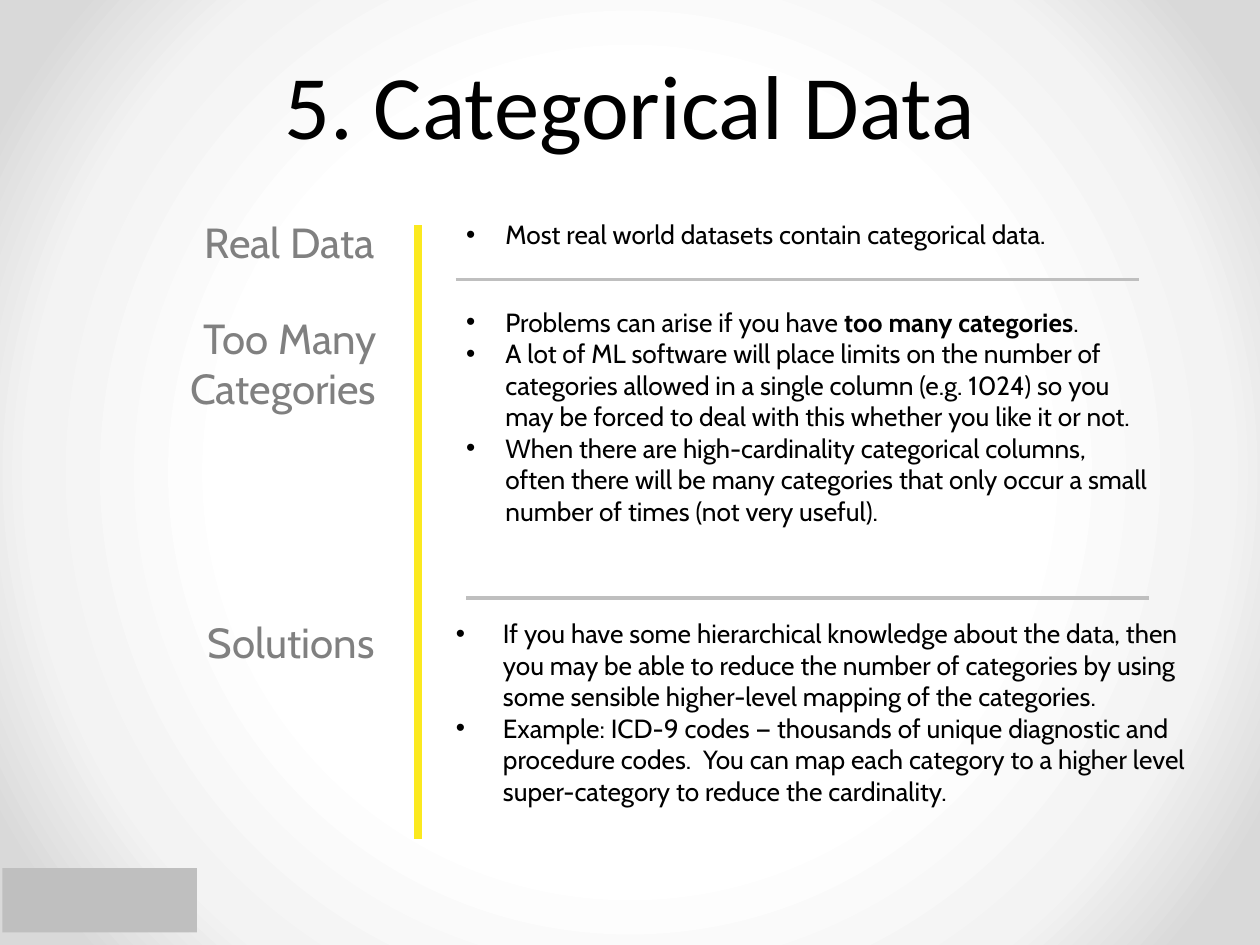
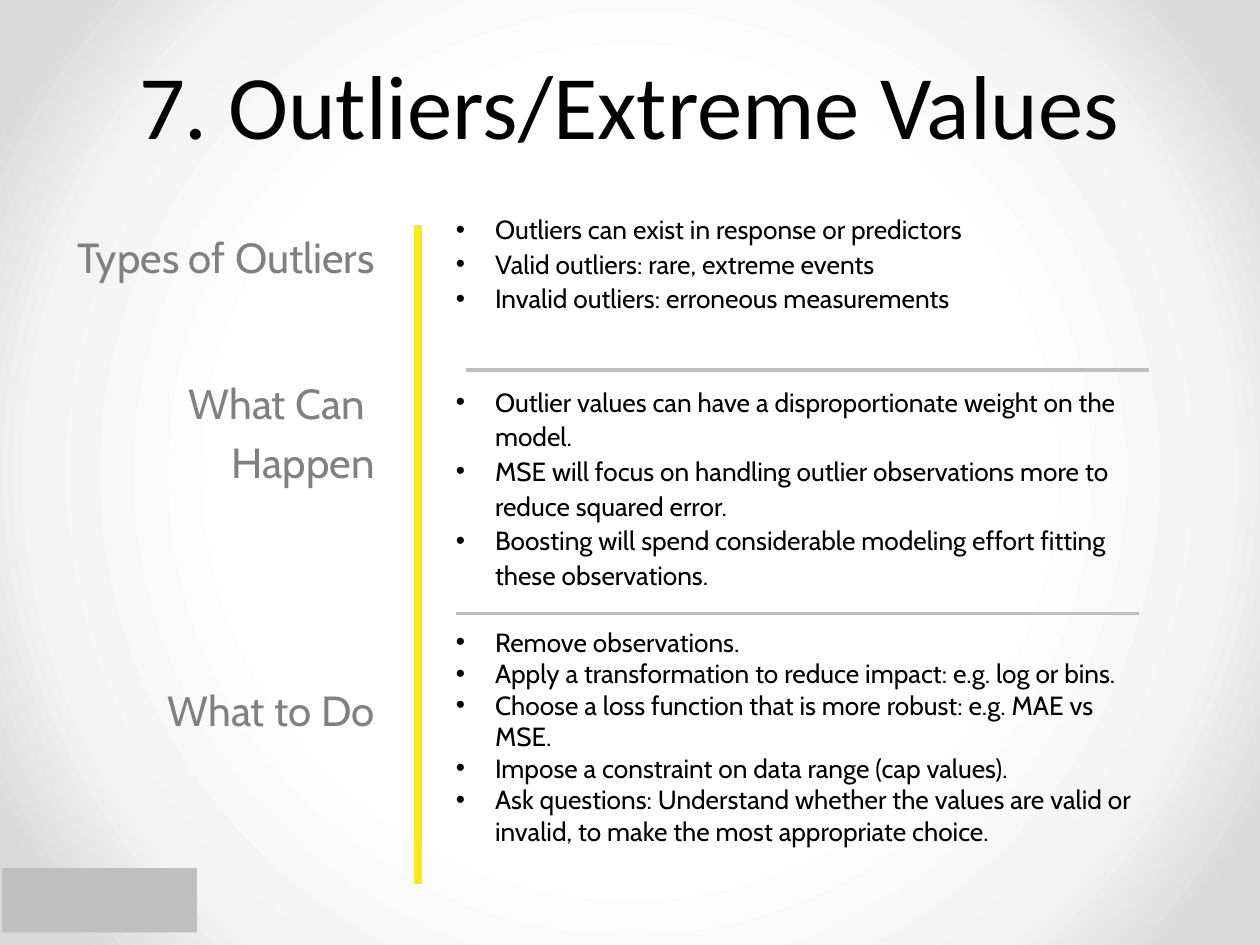
from dataclasses import dataclass

from pptx import Presentation
from pptx import util as u
from pptx.dml.color import RGBColor
from pptx.enum import shapes, text
from pptx.oxml import parse_xml
from pptx.oxml.ns import nsdecls, qn

BLACK = RGBColor(0x00, 0x00, 0x00)
GREY = RGBColor(0x80, 0x80, 0x80)
RULE_GREY = RGBColor(0xBF, 0xBF, 0xBF)
BAR_YELLOW = RGBColor(0xFB, 0xE9, 0x1F)
GLOW = [(50, RGBColor(0xFF, 0xFF, 0xFF)), (76, RGBColor(0xF3, 0xF3, 0xF3)),
        (92, RGBColor(0xD9, 0xD9, 0xD9))]

TITLE_FONT = dict(name="Calibri", size=u.Pt(51.8), color=BLACK)
HEADING_FONT = dict(name="Cabin", size=u.Pt(24), color=GREY)
BODY_FONT = dict(name="Cabin", size=u.Pt(15), color=BLACK)

TITLE_BOX = (1.27, 0.93, 22.86, 2.24)
FOOTER_BOX = (0.05, 17.5, 3.92, 1.3)
HEADING_SIZE = (7.44, 2.79)
HEADING_LEFT = 0.24
BODY_WIDTH = 13.77
BODY_LEFT, BODY_LEFT_INSET = 9.19, 9.4
BAR_X, BAR_TOP = 8.43, 4.54


@dataclass
class Section:
    heading: list
    heading_top: float
    body_box: tuple
    bullets: list
    heading_left: float = HEADING_LEFT
    line_spacing: float = 1.0
    indent: float = 0.79
    level: int = 0


def set_all(target, values):
    for name, value in values.items():
        setattr(target, name, value)


def add_run(paragraph, wording, font, **extra):
    run = paragraph.add_run()
    run.text = wording
    values = {**font, **extra}
    run.font.color.rgb = values.pop("color")
    set_all(run.font, values)


def add_frame(slide, box, inset=0.0, **values):
    frame = slide.shapes.add_textbox(*map(u.Cm, box)).text_frame
    margins = {f"margin_{side}": u.Cm(inset)
               for side in ("left", "top", "right", "bottom")}
    set_all(frame, {"word_wrap": True, **margins, **values})
    return frame


def paragraphs(frame, items):
    """Yield a paragraph of the frame with each item."""
    for index, item in enumerate(items):
        yield (frame.add_paragraph() if index else frame.paragraphs[0]), item


def add_line(slide, start, end, color, width):
    line = slide.shapes.add_connector(
        shapes.MSO_CONNECTOR.STRAIGHT, *map(u.Cm, (*start, *end)))
    line.line.color.rgb = color
    line.line.width = u.Pt(width)
    line._element.spPr.append(parse_xml(f"<a:effectLst {nsdecls('a')}/>"))


def set_glow_background(master):
    master.background.fill.gradient()
    linear = master.element.find(f".//{qn('p:bgPr')}/{qn('a:gradFill')}")
    stops = "".join(
        f'<a:gs pos="{at * 1000}"><a:srgbClr val="{color}"/></a:gs>'
        for at, color in GLOW)
    radial = parse_xml(
        f'<a:gradFill {nsdecls("a")} rotWithShape="1"><a:gsLst>{stops}</a:gsLst>'
        '<a:path path="circle"><a:fillToRect l="50000" t="50000" r="50000" '
        'b="50000"/></a:path></a:gradFill>')
    linear.getparent().replace(linear, radial)


def add_title(slide, wording, box):
    frame = add_frame(slide, box, vertical_anchor=text.MSO_ANCHOR.BOTTOM)
    title = frame.paragraphs[0]
    set_all(title, dict(alignment=text.PP_ALIGN.CENTER, line_spacing=u.Pt(55)))
    add_run(title, wording, TITLE_FONT)


def add_footer_block(slide, box):
    block = slide.shapes.add_shape(
        shapes.MSO_SHAPE.RECTANGLE, *map(u.Cm, box))
    block.shadow.inherit = False
    block.fill.solid()
    block.fill.fore_color.rgb = RULE_GREY
    block.line.fill.background()


def add_heading(slide, lines, box):
    frame = add_frame(slide, box, inset=0.13)
    for paragraph, line in paragraphs(frame, lines):
        set_all(paragraph, dict(alignment=text.PP_ALIGN.RIGHT,
                                space_before=u.Pt(5)))
        add_run(paragraph, line, HEADING_FONT)


def set_bullet(paragraph, indent):
    properties = paragraph._p.get_or_add_pPr()
    properties.set("marL", str(u.Cm(indent)))
    properties.set("indent", str(-u.Cm(indent)))
    for xml in ('<a:buFont {} typeface="Arial"/>', '<a:buChar {} char="•"/>'):
        properties.append(parse_xml(xml.format(nsdecls("a"))))


def add_bullets(slide, section):
    """Write the bullets; in a tuple, every second part is bold."""
    frame = add_frame(slide, section.body_box,
                      auto_size=text.MSO_AUTO_SIZE.SHAPE_TO_FIT_TEXT)
    for paragraph, bullet in paragraphs(frame, section.bullets):
        set_all(paragraph, dict(level=section.level,
                                line_spacing=section.line_spacing))
        set_bullet(paragraph, section.indent)
        parts = (bullet,) if isinstance(bullet, str) else bullet
        for index, part in enumerate(parts):
            add_run(paragraph, part, BODY_FONT, bold=index % 2 == 1)


def add_topic_slide(prs, title, sections, dividers, bar_bottom):
    slide = prs.slides.add_slide(prs.slide_layouts[6])
    add_footer_block(slide, FOOTER_BOX)
    add_title(slide, title, TITLE_BOX)
    add_line(slide, (BAR_X, BAR_TOP), (BAR_X, bar_bottom), BAR_YELLOW, 4.5)
    for left, y in dividers:
        add_line(slide, (left, y), (left + BODY_WIDTH, y), RULE_GREY, 2)
    for section in sections:
        add_heading(slide, section.heading,
                    (section.heading_left, section.heading_top, *HEADING_SIZE))
        add_bullets(slide, section)


CATEGORICAL = [
    Section(["Real Data"], 4.24, (BODY_LEFT_INSET, 4.34, BODY_WIDTH, 0.89),
            ["Most real world datasets contain categorical data."],
            line_spacing=1.1),
    Section(["Too Many Categories"], 6.17,
            (BODY_LEFT_INSET, 6.17, BODY_WIDTH, 5.33),
            [("Problems can arise if you have ", "too many categories", "."),
             "A lot of ML software will place limits on the number of "
             "categories allowed in a single column (e.g. 1024) so you may be "
             "forced to deal with this whether you like it or not.",
             "When there are high-cardinality categorical columns, often there "
             "will be many categories that only occur a small number of times "
             "(not very useful)."],
            heading_left=0.28),
    Section(["Solutions"], 12.29, (BODY_LEFT, 12.45, 15.11, 4.7),
            ["If you have some hierarchical knowledge about the data, then you "
             "may be able to reduce the number of categories by using some "
             "sensible higher-level mapping of the categories.",
             "Example: ICD-9 codes — thousands of unique diagnostic and "
             "procedure codes.  You can map each category to a higher level "
             "super-category to reduce the cardinality."],
            indent=0.95, level=1),
]

OUTLIERS = [
    Section(["Types of Outliers"], 4.54, (BODY_LEFT, 4.24, BODY_WIDTH, 2.29),
            ["Outliers can exist in response or predictors",
             "Valid outliers: rare, extreme events",
             "Invalid outliers: erroneous measurements"],
            line_spacing=1.1),
    Section(["What Can ", "Happen"], 7.48, (BODY_LEFT, 7.72, BODY_WIDTH, 4.39),
            ["Outlier values can have a disproportionate weight on the model.",
             "MSE will focus on handling outlier observations more to reduce "
             "squared error.",
             "Boosting will spend considerable modeling effort fitting these "
             "observations."],
            line_spacing=1.1),
    Section(["What to Do"], 13.66, (BODY_LEFT, 12.62, BODY_WIDTH, 5.33),
            ["Remove observations.",
             "Apply a transformation to reduce impact: e.g. log or bins.",
             "Choose a loss function that is more robust: e.g. MAE vs MSE.",
             "Impose a constraint on data range (cap values).",
             "Ask questions: Understand whether the values are valid or "
             "invalid, to make the most appropriate choice."]),
]


def main():
    prs = Presentation()
    set_all(prs, dict(slide_width=u.Cm(25.4), slide_height=u.Cm(19.05)))
    set_glow_background(prs.slide_master)
    add_topic_slide(prs, "5. Categorical Data", CATEGORICAL,
                    [(BODY_LEFT, 5.63), (BODY_LEFT_INSET, 12.05)], 16.92)
    add_topic_slide(prs, "7. Outliers/Extreme Values", OUTLIERS,
                    [(BODY_LEFT_INSET, 7.46), (BODY_LEFT, 12.37)], 17.83)
    prs.save("out.pptx")


if __name__ == "__main__":
    main()
